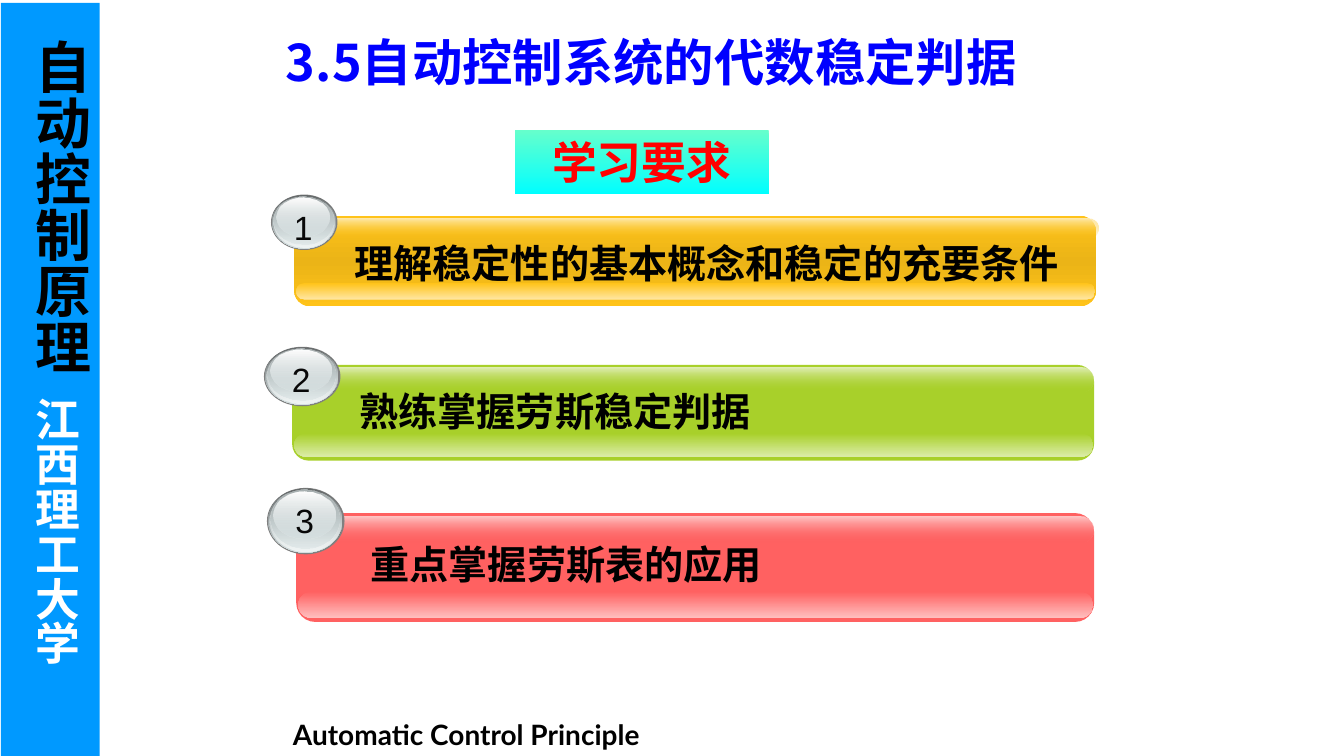
from lxml import etree
from pptx import Presentation
from pptx.dml.color import RGBColor
from pptx.enum import shapes, text
from pptx.oxml.ns import qn
from pptx.util import Inches, Pt

HUE = {
    "black": "000000", "white": "FFFFFF", "red": "FF0000", "blue": "0000FF",
    "side": "0099FF", "mint": "66FFCC", "cyan": "00FFFF", "digit": "080808",
    "rim": "808080", "dark": "636869", "steel": "AAB2B3", "mist": "D6E1E2",
    "pale": "F1F5F5",
    "gold": "FFC319", "amber": "EBB417", "gold_low": "FFE6A0", "gold_top": "FFEBB2",
    "lime": "A8D02A", "lime_low": "DBECA7", "lime_top": "E2EFB8",
    "rose": "FF6161", "rose_low": "FFBEBE", "rose_top": "FFCACA",
}
CJK = "Noto Sans CJK SC"
KIND = shapes.MSO_SHAPE
LEFT, MID = text.PP_ALIGN.LEFT, text.PP_ALIGN.CENTER


def write(par, words, size=28, font="Lato", hue="black", bold=True):
    """Add one formatted run to a paragraph."""
    run = par.add_run()
    run.text = words
    run.font.size, run.font.bold, run.font.name = Pt(size), bold, font
    run.font.color.rgb = RGBColor.from_string(HUE[hue])
    etree.SubElement(run.font._element, qn("a:ea"), typeface=CJK)


class Deck:
    def __init__(self):
        self.file = Presentation()
        self.file.slide_width, self.file.slide_height = Inches(13.34), Inches(7.5)
        self.slide = self.file.slides.add_slide(self.file.slide_layouts[6])
        self.home = self.slide.shapes

    def group(self):
        self.home = self.slide.shapes.add_group_shape().shapes

    def ungroup(self):
        self.home = self.slide.shapes

    def shape(self, kind, box, *stops, round=None):
        """Draw a shape; a stop is a colour name or (name, opacity percent)."""
        item = self.home.add_shape(kind, *map(Inches, box))
        item.shadow.inherit = False
        if round is not None:
            item.adjustments[0] = round
        if len(stops) == 1:
            item.fill.solid()
            item.fill.fore_color.rgb = RGBColor.from_string(HUE[stops[0]])
        else:
            self.blend(item, stops)
        item.line.fill.background()
        return item

    def blend(self, item, stops):
        item.fill.gradient()
        item.fill.gradient_angle = 270
        ramp = item._element.spPr.find(qn("a:gradFill")).find(qn("a:gsLst"))
        for old in list(ramp):
            ramp.remove(old)
        for i, stop in enumerate(stops):
            name, clear = (stop, None) if isinstance(stop, str) else stop
            mark = etree.SubElement(ramp, qn("a:gs"), pos=str(100000 * i // (len(stops) - 1)))
            tint = etree.SubElement(mark, qn("a:srgbClr"), val=HUE[name])
            if clear is not None:
                etree.SubElement(tint, qn("a:alpha"), val=str(clear * 1000))

    def frame(self, item, align=LEFT):
        body = item.text_frame
        body.word_wrap = True
        body.vertical_anchor = text.MSO_ANCHOR.TOP
        body.paragraphs[0].alignment = align
        return body.paragraphs[0]

    def label(self, box, words, align=LEFT, **style):
        item = self.home.add_textbox(*map(Inches, box))
        write(self.frame(item, align), words, **style)

    def badge(self, box, digit):
        x, y, w, h = box
        self.shape(KIND.OVAL, box, "rim")
        # Stacked glass layers, as shares of the rim
        layers = [
            (0.015, 0.01, 0.96, 0.965, "dark", "mist"),
            (0.03, 0.02, 0.93, 0.94, ("mist", 0), "pale"),
            (0.045, 0.03, 0.89, 0.88, "steel", ("mist", 48)),
            (0.09, 0.05, 0.79, 0.71, "white", ("mist", 38)),
        ]
        for dx, dy, sw, sh, *stops in layers:
            self.shape(KIND.OVAL, (x + w * dx, y + h * dy, w * sw, h * sh), *stops)
        self.label((x + 0.12, y + 0.07, w - 0.26, 0.5), digit, MID,
                   size=24, font="Arial", hue="digit", bold=False)

    def bar(self, box, hue, fill, low, top):
        """Draw a bar with a lower (dy, height) and an upper (width, height) gloss."""
        x, y, w, h = box
        self.shape(KIND.ROUNDED_RECTANGLE, box, *fill, round=0.175)
        self.shape(KIND.ROUNDED_RECTANGLE, (x + 0.02, y + low[0], w - 0.03, low[1]),
                   hue, hue + "_low", round=0.5)
        self.shape(KIND.ROUNDED_RECTANGLE, (x + 0.02, y + 0.03, *top),
                   hue + "_top", (hue, 0), round=0.5)


def main():
    deck = Deck()

    # Headings
    head = deck.shape(KIND.RECTANGLE, (5.11, 1.29, 2.52, 0.64), "mint", "cyan")
    write(deck.frame(head, MID), "学习要求", size=32, font="Calibri", hue="red")
    deck.label((2.74, 0.26, 8.44, 0.7), "3.5自动控制系统的代数稳定判据",
               size=36, font=CJK, hue="blue")

    # Numbered goals: bar, colour, fill, glosses, badge, text box, words
    goals = [
        ((2.92, 2.14, 7.96, 0.9), "gold", ("gold", "amber", "gold"),
         (0.67, 0.16), (7.96, 0.19), (2.69, 1.93, 0.66, 0.55),
         (3.42, 2.33, 7.36, 0.57), "理解稳定性的基本概念和稳定的充要条件"),
        ((2.9, 3.62, 7.96, 0.95), "lime", ("lime",),
         (0.68, 0.23), (7.93, 0.23), (2.62, 3.44, 0.76, 0.59),
         (3.47, 3.79, 6.79, 0.57), "熟练掌握劳斯稳定判据"),
        ((2.94, 5.09, 7.92, 1.08), "rose", ("rose",),
         (0.78, 0.26), (7.89, 0.26), (2.65, 4.84, 0.77, 0.66),
         (3.58, 5.31, 7.07, 0.57), "重点掌握劳斯表的应用"),
    ]
    for num, (box, hue, fill, low, top, spot, area, words) in enumerate(goals, 1):
        deck.group()
        deck.bar(box, hue, fill, low, top)
        deck.badge(spot, str(num))
        deck.label(area, words)
    deck.ungroup()

    # Footer
    deck.label((2.81, 7.07, 4.97, 0.44), "Automatic Control Principle", size=20)

    # Vertical side band
    side = deck.shape(KIND.RECTANGLE, (0.01, 0.03, 0.98, 7.5), "side")
    par = deck.frame(side, MID)
    body = side.text_frame
    body.margin_left = body.margin_right = Inches(0.05)
    body.margin_top, body.margin_bottom = Inches(0.36), Inches(0.16)
    body._txBody.bodyPr.set("vert", "eaVert")
    write(par, "自动控制原理", size=40, font=CJK)
    write(par, "　", size=16, font=CJK)
    write(par, "江西理工大学", size=32, font="Arial", hue="white")

    deck.file.save("out.pptx")


if __name__ == "__main__":
    main()
